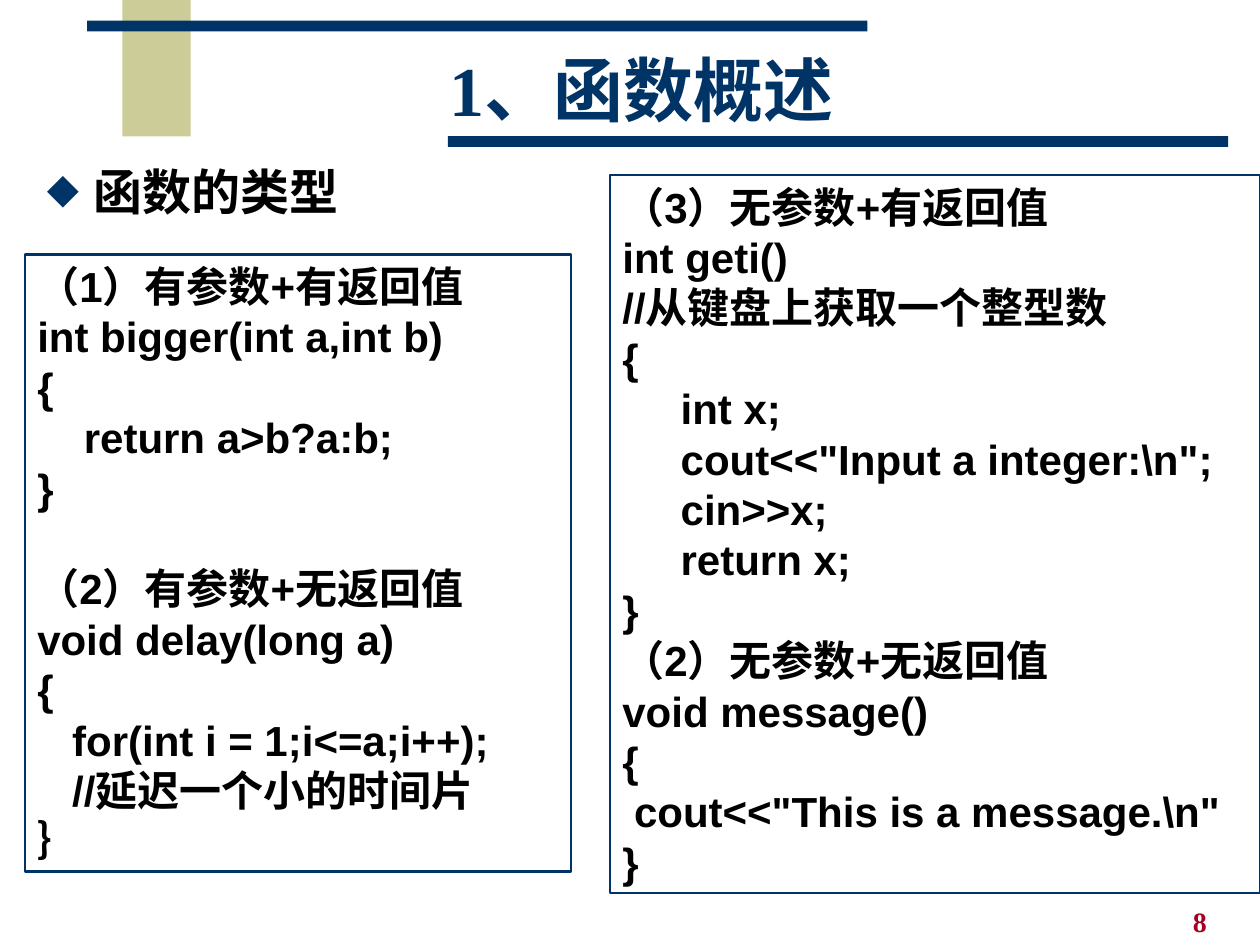
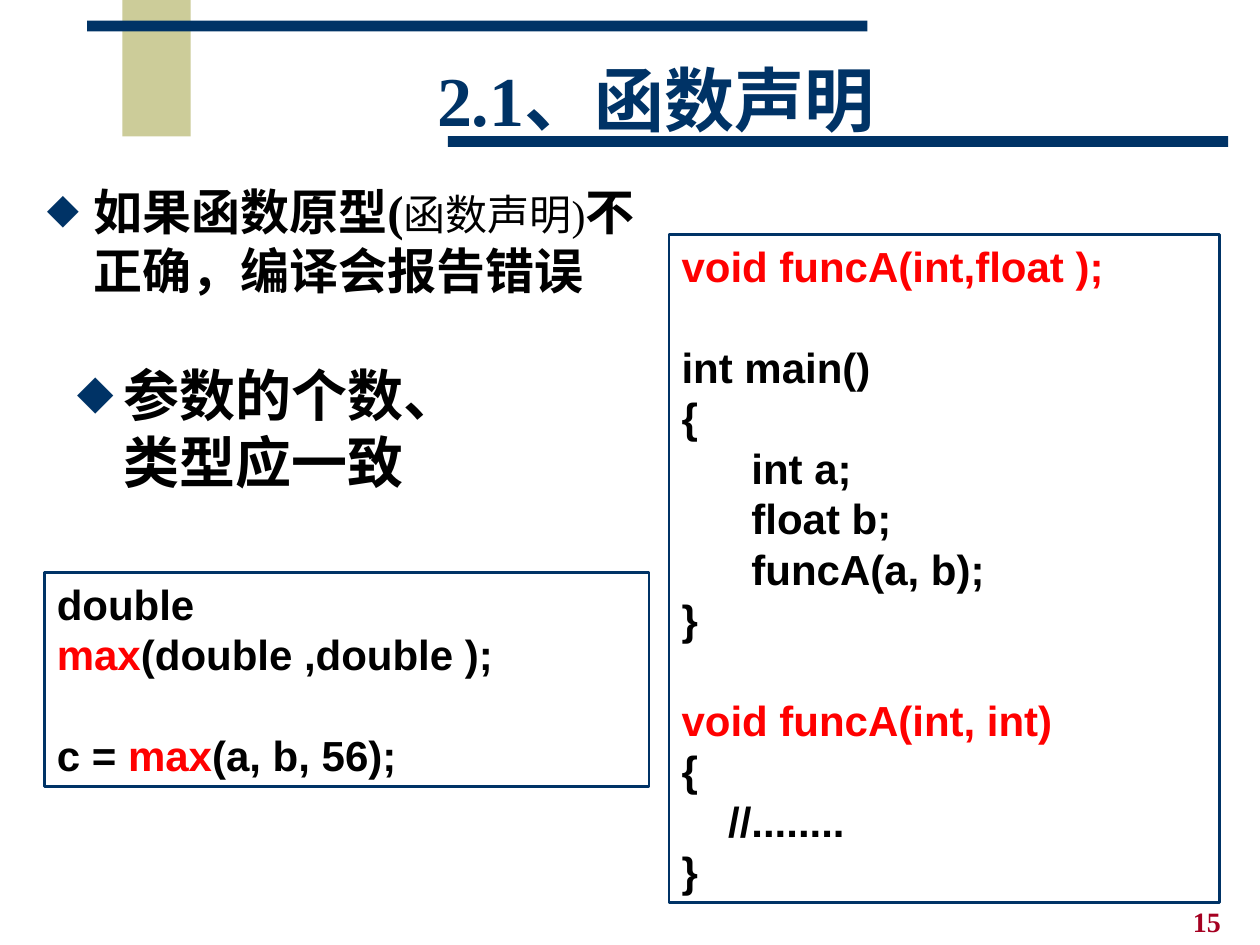
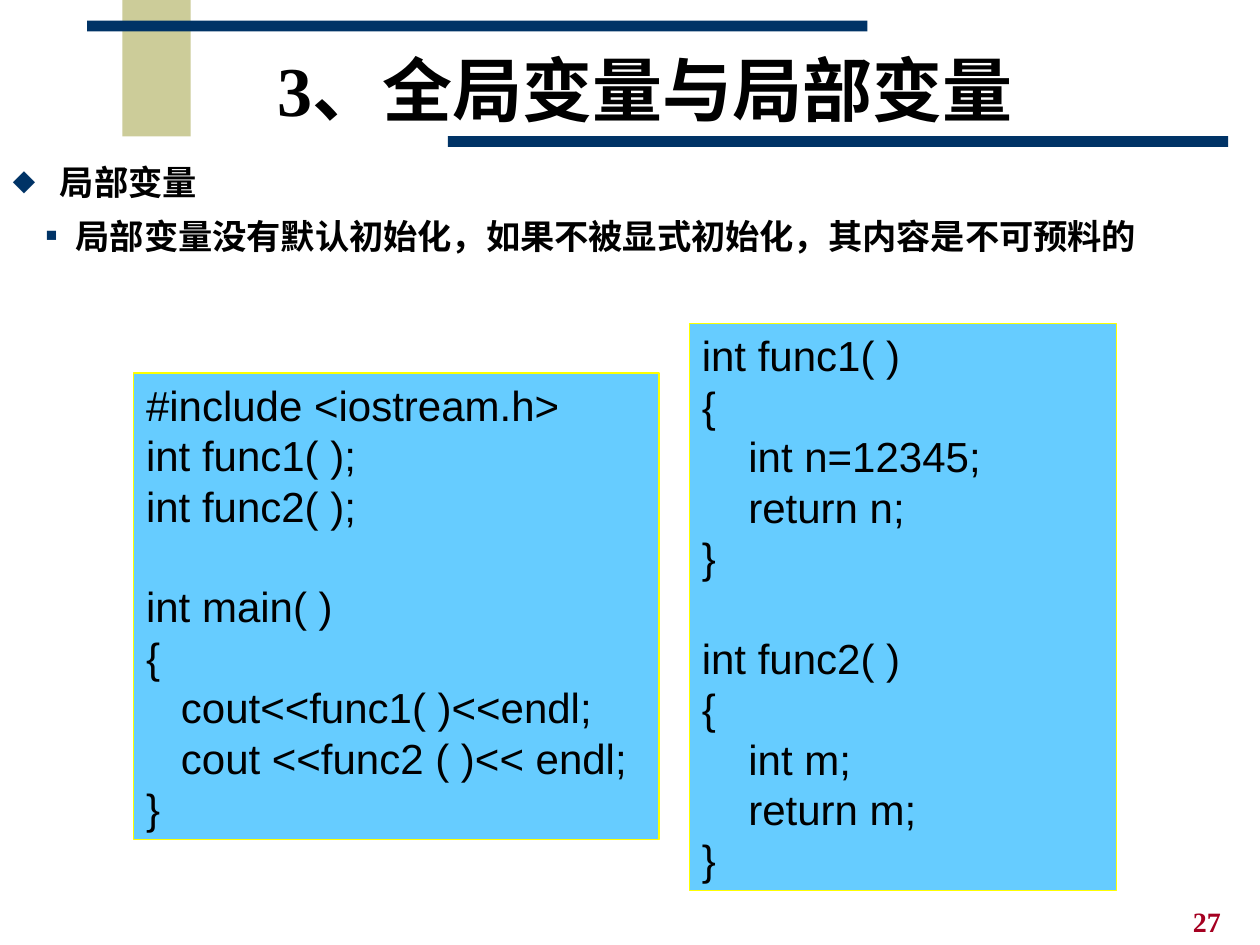
from lxml import etree
from pptx import Presentation
from pptx.dml.color import RGBColor
from pptx.enum.shapes import MSO_SHAPE
from pptx.enum.text import MSO_ANCHOR, MSO_AUTO_SIZE, PP_ALIGN
from pptx.oxml.ns import qn
from pptx.util import Pt

NAVY = RGBColor(0x00, 0x33, 0x66)
KHAKI = RGBColor(0xCC, 0xCC, 0x99)
CRIMSON = RGBColor(0xA5, 0x00, 0x21)
RED = RGBColor(0xFF, 0x00, 0x00)
BLACK = RGBColor(0x00, 0x00, 0x00)
SKY = RGBColor(0x66, 0xCC, 0xFF)
YELLOW = RGBColor(0xFF, 0xFF, 0x00)

RECTANGLE = MSO_SHAPE.RECTANGLE
TOP, MIDDLE = MSO_ANCHOR.TOP, MSO_ANCHOR.MIDDLE
LEFT, CENTER = PP_ALIGN.LEFT, PP_ALIGN.CENTER
NO_AUTOFIT = MSO_AUTO_SIZE.NONE

TITLE_AND_LIST, TITLE_AND_TWO_LISTS = 1, 3
SERIF, SANS = "Times New Roman", "Arial"
LINE_PITCH = 1.2

# left, top, width, height, colour
BANDS = [
    (70, 0, 39, 78, KHAKI),
    (49.8, 11.8, 445.8, 6.2, NAVY),
    (256, 77.8, 445.8, 6.2, NAVY),
]
# mark, size in percent, left margin, first-line indent
BULLETS = [("⬥", 100, 27, -27), ("■", 55, 36, -17)]

OUTLINED = {"fill": None, "line": NAVY, "line_width": 1.5, "bold": True}
FILLED = {"fill": SKY, "line": YELLOW, "line_width": 0.75, "bold": False}


class Deck:
    def __init__(self):
        self.presentation = Presentation()
        self.presentation.slide_width = Pt(720)
        self.presentation.slide_height = Pt(540)
        self.slide = None

    def new_slide(self, layout, number):
        layouts = self.presentation.slide_layouts
        self.slide = self.presentation.slides.add_slide(layouts[layout])
        for *place, colour in BANDS:
            self.rectangle(place, fill=colour)
        page = self.slide.shapes.add_textbox(0, 0, 0, 0)
        self.place(page, (674.6, 513.4, 45.4, 26.6))
        frame = self.frame(page)
        self.set_line(frame.paragraphs[0], str(number), size=16, color=CRIMSON)

    def place(self, shape, place):
        for side, length in zip(("left", "top", "width", "height"), place):
            setattr(shape, side, Pt(length))

    def frame(self, shape, anchor=TOP):
        frame = shape.text_frame
        settings = {
            "word_wrap": True, "auto_size": NO_AUTOFIT, "vertical_anchor": anchor,
            "margin_left": Pt(7.2), "margin_right": Pt(7.2),
            "margin_top": Pt(3.6), "margin_bottom": Pt(3.6),
        }
        for name, value in settings.items():
            setattr(frame, name, value)
        return frame

    def set_line(self, paragraph, line, align=LEFT, spacing=None, before=0, **style):
        """Fill a paragraph with a string, or with (text, style changes) parts."""
        paragraph.alignment = align
        paragraph.space_before = Pt(before)
        if spacing:
            paragraph.line_spacing = spacing
        parts = [(line, {})] if isinstance(line, str) else line
        for text, changes in parts:
            look = {"name": SERIF, "bold": True, "color": BLACK, **style, **changes}
            run = paragraph.add_run()
            run.text = text
            run.font.color.rgb = look.pop("color")
            look["size"] = Pt(look["size"])
            for name, value in look.items():
                setattr(run.font, name, value)

    def rectangle(self, place, fill=None, line=None, line_width=1):
        box = self.slide.shapes.add_shape(RECTANGLE, 0, 0, 0, 0)
        self.place(box, place)
        box.shadow.inherit = False
        if fill is None:
            box.fill.background()
        else:
            box.fill.solid()
            box.fill.fore_color.rgb = fill
        if line is None:
            box.line.fill.background()
        else:
            box.line.color.rgb = line
            box.line.width = Pt(line_width)
        return box

    def title(self, text, place, color=NAVY):
        heading = self.slide.shapes.title
        self.place(heading, place)
        frame = self.frame(heading, MIDDLE)
        self.set_line(frame.paragraphs[0], text, CENTER, 0.85, size=40, color=color)

    def bullet(self, paragraph, level):
        mark, percent, margin, indent = BULLETS[level]
        paragraph.level = level
        properties = paragraph._p.get_or_add_pPr()
        properties.set("marL", str(Pt(margin)))
        properties.set("indent", str(Pt(indent)))
        colour = etree.SubElement(properties, qn("a:buClr"))
        etree.SubElement(colour, qn("a:srgbClr"), val=str(NAVY))
        etree.SubElement(properties, qn("a:buSzPct"), val=str(percent * 1000))
        etree.SubElement(properties, qn("a:buFont"), typeface=SERIF)
        etree.SubElement(properties, qn("a:buChar"), char=mark)

    def bullets(self, items, place, size, slot=1):
        """Fill the list placeholder in the slot with one item per level."""
        body = self.slide.placeholders[slot]
        self.place(body, place)
        frame = self.frame(body)
        for level, item in enumerate(items):
            paragraph = frame.add_paragraph() if level else frame.paragraphs[0]
            self.bullet(paragraph, level)
            self.set_line(paragraph, item, spacing=Pt(size * LINE_PITCH),
                          before=7 if level else 0, size=size)

    def code(self, groups, place, look, size=24):
        """Draw a code box; groups of lines stand one line apart."""
        frame = self.frame(self.rectangle(
            place, look["fill"], look["line"], look["line_width"]))
        pitch = size * LINE_PITCH
        paragraph = frame.paragraphs[0]
        for group_index, group in enumerate(groups):
            for line_index, line in enumerate(group):
                if group_index or line_index:
                    paragraph = frame.add_paragraph()
                starts_group = group_index and not line_index
                self.set_line(paragraph, line, spacing=Pt(pitch),
                              before=pitch if starts_group else 0,
                              size=size, name=SANS, bold=look["bold"])


def red(text):
    return text, {"color": RED}


def function_types(deck):
    deck.new_slide(TITLE_AND_LIST, 8)
    deck.title("1、函数概述", (224, 9.4, 285, 90))
    deck.bullets(["函数的类型"], (19.4, 88.6, 255, 51), 28)
    deck.code([
        ["（1）有参数+有返回值",
         "int bigger(int a,int b)",
         "{",
         "    return a>b?a:b;",
         "}"],
        ["（2）有参数+无返回值",
         "void delay(long a)",
         "{",
         "   for(int i = 1;i<=a;i++);",
         "   //延迟一个小的时间片",
         "｝"],
    ], (14.2, 145.4, 312, 352.8), OUTLINED)
    deck.code([
        ["（3）无参数+有返回值",
         "int geti()",
         "//从键盘上获取一个整型数",
         "{",
         "     int x;",
         '     cout<<"Input a integer:\\n";',
         "     cin>>x;",
         "     return x;",
         "}",
         "（2）无参数+无返回值",
         "void message()",
         "{",
         ' cout<<"This is a message.\\n"',
         "}"],
    ], (348.6, 100, 371.4, 410.4), OUTLINED)


def function_declaration(deck):
    deck.new_slide(TITLE_AND_TWO_LISTS, 15)
    deck.title("2.1、函数声明", (229.6, 26, 290, 67.6))
    deck.bullets([[
        ("如果函数原型(", {}),
        ("函数声明)", {"size": 24, "bold": False}),
        ("不正确，编译会报告错误", {}),
    ]], (19.4, 100, 351.4, 90.8), 28)
    deck.bullets(["参数的个数、类型应一致"], (36.6, 202.4, 260.6, 90.8), 32, slot=2)
    deck.code([
        [[("double ", {}), red("max"), ("(double ,double );", {})]],
        [[("c = ", {}), red("max"), ("(a, b, 56);", {})]],
    ], (25.4, 327, 345.6, 122.4), OUTLINED)
    deck.code([
        [[red("void funcA(int,float );")]],
        ["int main()",
         "{",
         "      int a;",
         "      float b;",
         "      funcA(a, b);",
         "}"],
        [[red("void funcA(int, int)")],
         "{",
         "    //........",
         "}"],
    ], (382.4, 134, 314.6, 381.6), OUTLINED)


def variable_scope(deck):
    deck.new_slide(TITLE_AND_LIST, 27)
    deck.title("3、全局变量与局部变量", (144.6, 26, 448, 57), BLACK)
    deck.bullets([
        "局部变量",
        "局部变量没有默认初始化，如果不被显式初始化，其内容是不可预料的",
    ], (0, 88.6, 702.8, 67.6), 19.6)
    deck.code([
        ["#include <iostream.h>",
         "int func1( );",
         "int func2( );"],
        ["int main( )",
         "{",
         "   cout<<func1( )<<endl;",
         "   cout <<func2 ( )<< endl;",
         "}"],
    ], (76.4, 213.2, 300.2, 266.4), FILLED)
    deck.code([
        ["int func1( )",
         "{",
         "    int n=12345;",
         "    return n;",
         "}"],
        ["int func2( )",
         "{",
         "    int m;",
         "    return m;",
         "}"],
    ], (394, 185, 244, 324), FILLED)


def main():
    deck = Deck()
    for build_slide in (function_types, function_declaration, variable_scope):
        build_slide(deck)
    deck.presentation.save("out.pptx")


if __name__ == "__main__":
    main()
